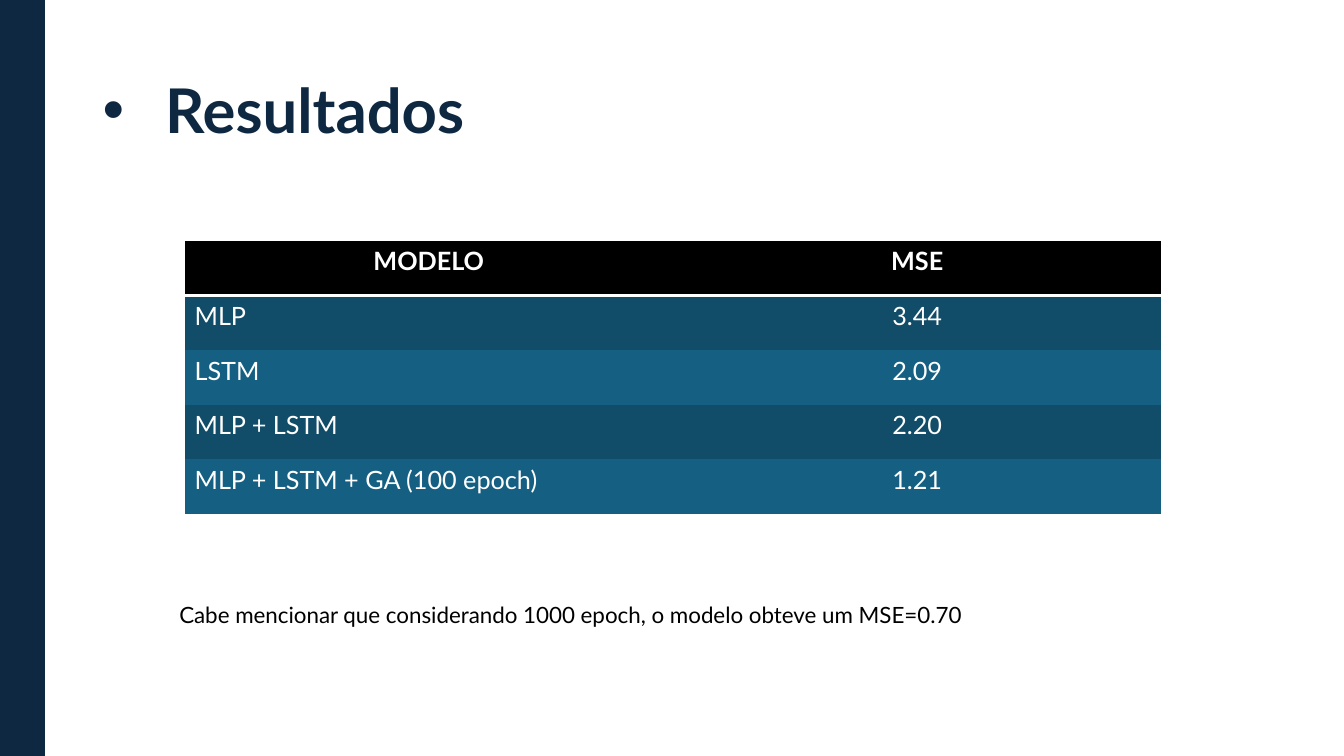
"""Build the results slide comparing the MSE of each model."""
from lxml import etree
from pptx import Presentation
from pptx import util as u
from pptx.dml.color import RGBColor
from pptx.enum import shapes, text
from pptx.oxml import ns

WIDTH, HEIGHT = u.Inches(13.33), u.Inches(7.5)
COLUMN, ROW = WIDTH / 100, HEIGHT / 100
FONT = "Lato"
NAVY = RGBColor(0x0E, 0x28, 0x41)
BLACK = RGBColor(0x00, 0x00, 0x00)
WHITE = RGBColor(0xFF, 0xFF, 0xFF)
BANDS = [RGBColor(0x15, 0x60, 0x82), RGBColor(0x11, 0x4D, 0x68)]
PLAIN_TABLE = "{2D5ABB26-0587-4C30-8999-92F81FD0307C}"
RESULTS = [
    ("MODELO", "MSE"),
    ("MLP", "3.44"),
    ("LSTM", "2.09"),
    ("MLP + LSTM", "2.20"),
    ("MLP + LSTM + GA (100 epoch)", "1.21"),
]


def place(left, top, width, height):
    return (u.Emu(round(left * COLUMN)), u.Emu(round(top * ROW)),
            u.Emu(round(width * COLUMN)), u.Emu(round(height * ROW)))


def write(frame, wording, size, color, bold=False):
    frame.text = wording
    paragraph = frame.paragraphs[0]
    font = paragraph.runs[0].font
    font.name, font.size, font.bold = FONT, u.Pt(size), bold
    font.color.rgb = color
    return paragraph


def add_sidebar(slide, area):
    sidebar = slide.shapes.add_shape(shapes.MSO_SHAPE.RECTANGLE, *place(*area))
    sidebar.shadow.inherit = False
    sidebar.fill.solid()
    sidebar.fill.fore_color.rgb = NAVY
    sidebar.line.color.rgb = NAVY
    sidebar.line.width = u.Pt(1.5)


def add_text(slide, area, wording, size, color, bold=False):
    frame = slide.shapes.add_textbox(*place(*area)).text_frame
    frame.word_wrap = True
    paragraph = write(frame, wording, size, color, bold)
    paragraph.line_spacing = 0.9
    return frame


def add_bullet(paragraph, indent):
    properties = paragraph._p.get_or_add_pPr()
    properties.set("marL", str(indent))
    properties.set("indent", str(-indent))
    etree.SubElement(properties, ns.qn("a:buFont")).set("typeface", "Arial")
    etree.SubElement(properties, ns.qn("a:buChar")).set("char", "•")


def underline_cell(cell):
    border = etree.Element(ns.qn("a:lnB"), w=str(u.Pt(2)))
    fill = etree.SubElement(border, ns.qn("a:solidFill"))
    etree.SubElement(fill, ns.qn("a:srgbClr")).set("val", str(WHITE))
    cell._tc.get_or_add_tcPr().insert(0, border)


def add_results(slide, area, results):
    frame = slide.shapes.add_table(len(results), len(results[0]), *place(*area))
    for style in frame.element.iter(ns.qn("a:tableStyleId")):
        style.text = PLAIN_TABLE
    for row, values in enumerate(results):
        header = row == 0
        for column, value in enumerate(values):
            cell = frame.table.cell(row, column)
            cell.fill.solid()
            cell.fill.fore_color.rgb = BLACK if header else BANDS[row % 2]
            paragraph = write(cell.text_frame, value, 18, WHITE, header)
            if header or column == 1:
                paragraph.alignment = text.PP_ALIGN.CENTER
            if header:
                underline_cell(cell)


def main():
    deck = Presentation()
    deck.slide_width, deck.slide_height = WIDTH, HEIGHT
    slide = deck.slides.add_slide(deck.slide_layouts[6])
    title = add_text(slide, (6.9, 5.33, 86.27, 19.33), "Resultados", 44, NAVY, True)
    title.vertical_anchor = text.MSO_ANCHOR.MIDDLE
    add_bullet(title.paragraphs[0], u.Inches(0.62))
    add_sidebar(slide, (0, 0, 3.3, 101.2))
    add_results(slide, (13.73, 31.87, 72.69, 36.13), RESULTS)
    remark = add_text(
        slide, (12.6, 79.2, 73.74, 10.8),
        "Cabe mencionar que considerando 1000 epoch, o modelo obteve um MSE=0.70",
        16, BLACK)
    remark.paragraphs[0].space_before = u.Pt(10)
    deck.save("out.pptx")


if __name__ == "__main__":
    main()
